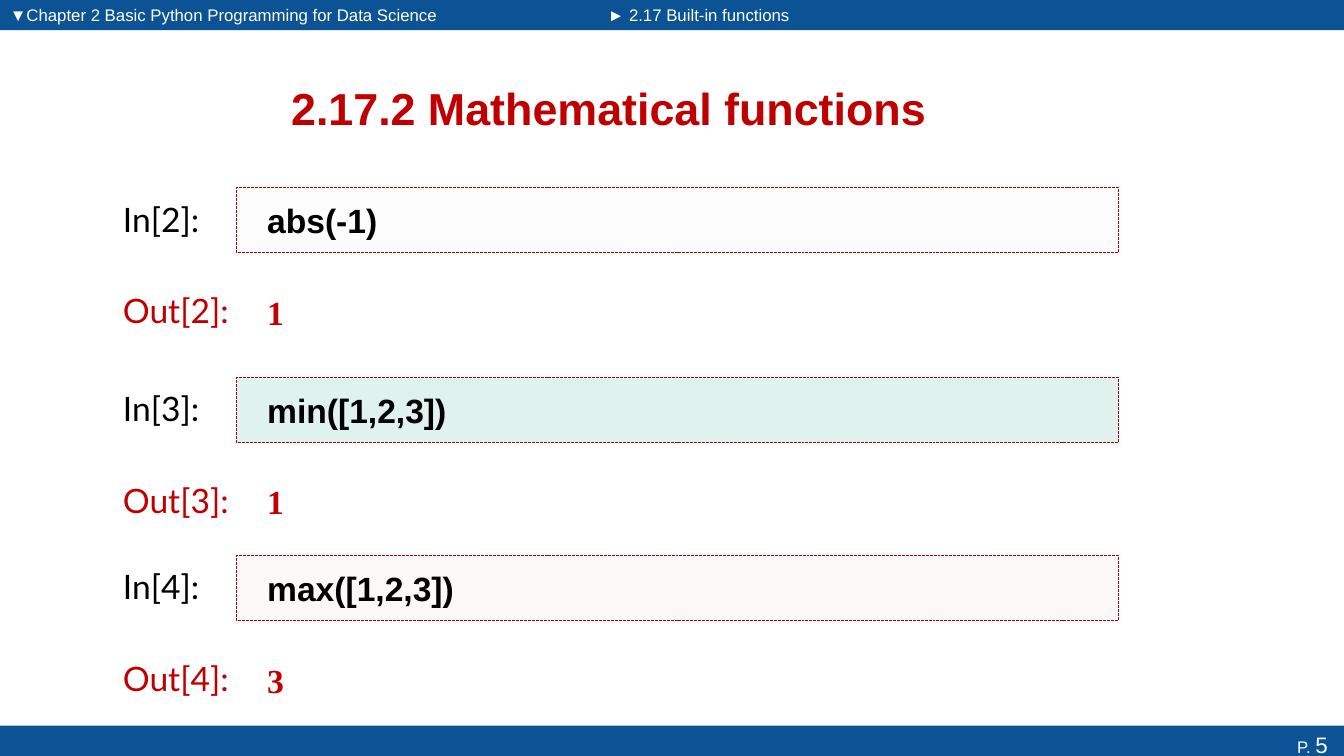
from lxml import etree
from pptx import Presentation
from pptx import util as u
from pptx.dml.color import RGBColor
from pptx.enum import dml, shapes, text
from pptx.oxml.ns import qn

W, H = 13.33, 7.5
BAR_H, HEADER_SPLIT = 0.3, 5.93
LABEL_X, CODE_X, CODE_W, CODE_H = 1.12, 2.35, 8.74, 0.65
OUT_DROP, LABEL_DROP = 0.91, 0.06
BLUE, RED, WHITE, BLACK = "0B5394", "C00000", "FFFFFF", "000000"
CELLS = [
    (2, 1.86, "abs(-1)", "1", "F1EEF4"),
    (3, 3.74, "min([1,2,3])", "1", "0C9B74"),
    (4, 5.51, "max([1,2,3])", "3", "EDCDCB"),
]
CODE_FRAME = {"vertical_anchor": text.MSO_ANCHOR.MIDDLE, "margin_left": u.Inches(0.3)}


def rgb(value):
    """Turn a hex string into a colour."""
    return RGBColor.from_string(value)


def write(sp, runs, align=text.PP_ALIGN.LEFT, **frame):
    """Fill a shape with one paragraph of (text, font, size, colour, bold) runs."""
    tf = sp.text_frame
    defaults = {"word_wrap": True, "vertical_anchor": text.MSO_ANCHOR.TOP}
    for name, value in {**defaults, **frame}.items():
        setattr(tf, name, value)
    p = tf.paragraphs[0]
    p.alignment = align
    for words, font, size, color, bold in runs:
        r = p.add_run()
        r.text = words
        for name, value in {"name": font, "size": u.Pt(size), "bold": bold}.items():
            setattr(r.font, name, value)
        r.font.color.rgb = rgb(color)


def add_text(parent, box, runs, **options):
    """Add a text box at (left, top, width, height)."""
    sp = parent.shapes.add_textbox(*map(u.Inches, box))
    write(sp, runs, **options)
    return sp


def add_rect(parent, box, fill):
    """Add a plain rectangle without outline or shadow."""
    sp = parent.shapes.add_shape(shapes.MSO_SHAPE.RECTANGLE, *map(u.Inches, box))
    sp.shadow.inherit = False
    sp.fill.solid()
    sp.fill.fore_color.rgb = rgb(fill)
    sp.line.fill.background()
    return sp


def add_header(s, left, width, words):
    """Add one segment of the top navigation bar."""
    add_rect(s, (left, 0, width, BAR_H), BLUE)
    add_text(s, (left, 0, width, BAR_H), [(words, "Arial", 12, WHITE, False)])


def add_footer(s, top, number):
    """Add the bottom bar with the page number."""
    sp = add_rect(s, (0, top, W, 0.37), BLUE)
    runs = [("P. ", "Arial", 12, WHITE, False), (f"{number} ", "Arial", 16, WHITE, False)]
    write(sp, runs, align=text.PP_ALIGN.RIGHT)


def add_cell(s, number, top, code, result, fill):
    """Add a grouped notebook cell: input label and code above output label and result."""
    g = s.shapes.add_group_shape()
    g.name = f"Cell {number}"
    out_top = top + OUT_DROP
    labels = [("In", top, 1.11, BLACK), ("Out", out_top, 1.35, RED)]
    for prefix, y, width, color in labels:
        add_text(g, (LABEL_X, y + LABEL_DROP, width, 0.5),
                 [(f"{prefix}[{number}]:", "Lato", 24, color, False)])
    sp = add_rect(g, (CODE_X, top, CODE_W, CODE_H), fill)
    color = sp.fill._xPr.find(qn("a:solidFill"))[0]
    etree.SubElement(color, qn("a:alpha"), val="13000")
    sp.line.color.rgb = rgb("AB0000")
    sp.line.width = u.Pt(0.7)
    sp.line.dash_style = dml.MSO_LINE.SQUARE_DOT
    write(sp, [(code, "Arial", 24, BLACK, True)], **CODE_FRAME)
    add_text(g, (CODE_X, out_top, CODE_W, CODE_H),
             [(result, "Times New Roman", 24, RED, True)], **CODE_FRAME)


def main():
    """Build and save the slide."""
    prs = Presentation()
    prs.slide_width, prs.slide_height = u.Inches(W), u.Inches(H)
    s = prs.slides.add_slide(prs.slide_layouts[6])
    add_header(s, 0, HEADER_SPLIT, "▼Chapter 2 Basic Python Programming for Data Science")
    add_header(s, HEADER_SPLIT, W - HEADER_SPLIT, "► 2.17 Built-in functions")
    add_footer(s, H - BAR_H, 5)
    add_text(s, (0.68, 0.62, 10.72, 0.9),
             [("2.17.2 Mathematical functions", "Arial", 32, RED, True)],
             align=text.PP_ALIGN.CENTER, vertical_anchor=text.MSO_ANCHOR.MIDDLE)
    for cell in CELLS:
        add_cell(s, *cell)
    prs.save("out.pptx")


if __name__ == "__main__":
    main()
